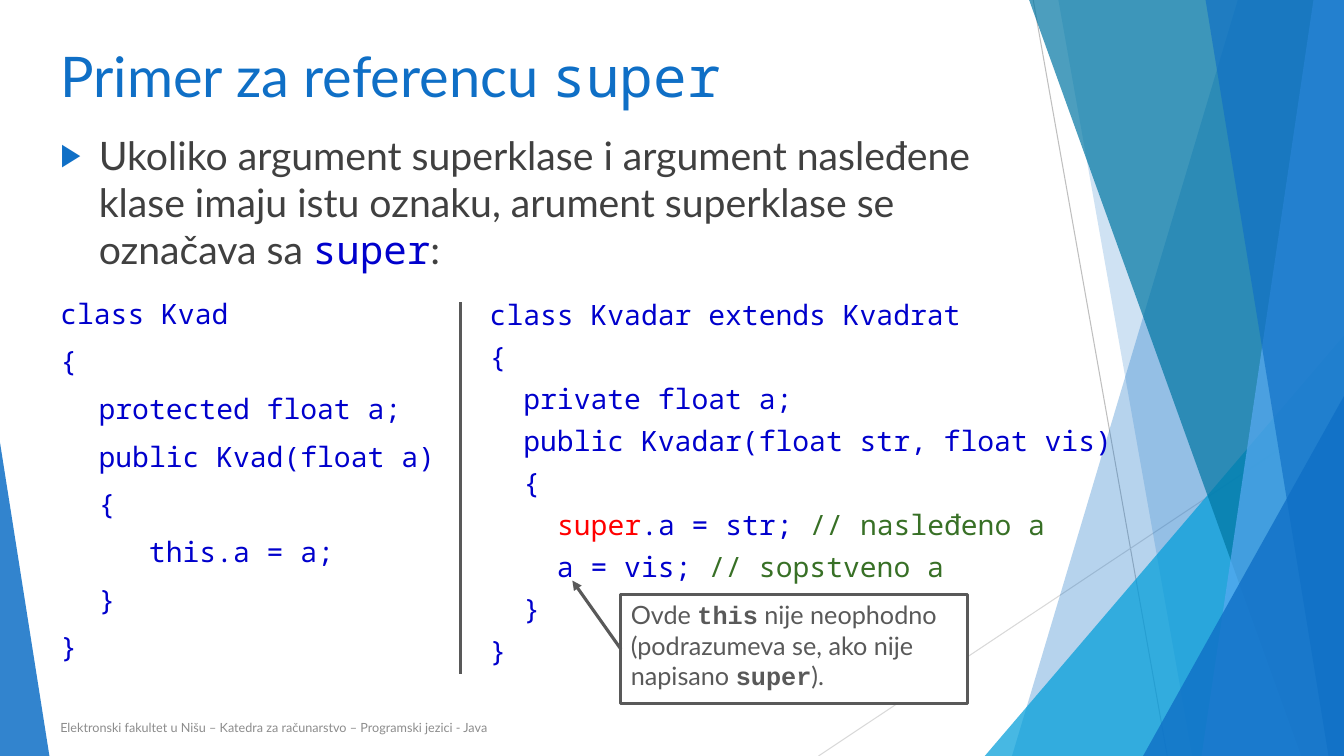
from lxml import etree
from pptx import Presentation
from pptx.dml.color import RGBColor
from pptx.enum.shapes import MSO_CONNECTOR, MSO_SHAPE
from pptx.enum.text import MSO_ANCHOR, MSO_AUTO_SIZE, PP_ALIGN
from pptx.oxml.ns import qn
from pptx.util import Inches, Pt

STRAIGHT = MSO_CONNECTOR.STRAIGHT
TRIANGLE = MSO_SHAPE.ISOSCELES_TRIANGLE
CALLOUT = MSO_SHAPE.LINE_CALLOUT_1
TOP, MIDDLE = MSO_ANCHOR.TOP, MSO_ANCHOR.MIDDLE
LEFT = PP_ALIGN.LEFT
NO_FIT = MSO_AUTO_SIZE.NONE

BLUE = RGBColor(0x0F, 0x6F, 0xC6)
SKY = RGBColor(0x59, 0xAA, 0xF2)
CYAN = RGBColor(0x00, 0x9D, 0xD9)
TEAL = RGBColor(0x00, 0x76, 0xA3)
CODE_BLUE = RGBColor(0x00, 0x00, 0xCC)
CODE_RED = RGBColor(0xFF, 0x00, 0x00)
CODE_GREEN = RGBColor(0x38, 0x70, 0x26)
INK = RGBColor(0x40, 0x40, 0x40)
GRAY = RGBColor(0x59, 0x59, 0x59)
FOOTER_GRAY = RGBColor(0x8C, 0x8C, 0x8C)
SILVER = RGBColor(0xBF, 0xBF, 0xBF)
PALE = RGBColor(0xD9, 0xD9, 0xD9)
WHITE = RGBColor(0xFF, 0xFF, 0xFF)

SANS, MONO, COURIER = "Lato", "Noto Sans Mono", "Courier New"

CELL = Inches(0.1)
COLUMNS, ROWS = 133.33, 75
MARGIN = 5
HANGING = 3.8

SHARDS = [
    ([(122.8, 0), (COLUMNS, 0), (COLUMNS, ROWS), (100.4, ROWS)], BLUE, 30),
    ([(105, 0), (COLUMNS, 0), (COLUMNS, ROWS), (118.3, ROWS)], BLUE, 20),
    ((97.7, 33.3, 35.63, 41.7, 1), CYAN, 72),
    ([(102.1, 0), (COLUMNS, 0), (COLUMNS, ROWS), (129.1, ROWS)], TEAL, 70),
    ([(130.3, 0), (COLUMNS, 0), (COLUMNS, ROWS), (119.2, ROWS)], SKY, 70),
    ([(119.6, 0), (COLUMNS, 0), (COLUMNS, ROWS), (131.8, ROWS)], BLUE, 65),
    ((113.4, 39.3, 19.93, 35.7, 1), BLUE, 80),
    ((0, 43.9, 4.9, 31.1, 0), BLUE, 85),
]

KVAD = [
    (0, "class Kvad"),
    (0, "{"),
    (HANGING, "protected float a;"),
    (HANGING, "public Kvad(float a)"),
    (HANGING, "{"),
    (8.8, "this.a = a;"),
    (HANGING, "}"),
    (0, "}"),
]

KVADAR = [
    [("class Kvadar extends Kvadrat", CODE_BLUE)],
    [("{", CODE_BLUE)],
    [("  private float a;", CODE_BLUE)],
    [("  public Kvadar(float str, float vis)", CODE_BLUE)],
    [("  {", CODE_BLUE)],
    [("    ", CODE_BLUE), ("super", CODE_RED), (".a = str; ", CODE_BLUE), ("// nasleđeno a", CODE_GREEN)],
    [("    a = vis; ", CODE_BLUE), ("// sopstveno a", CODE_GREEN)],
    [("  }", CODE_BLUE)],
    [("}", CODE_BLUE)],
]


def grid(*cells):
    """Turn counts of grid cells into lengths."""
    return [int(cell * CELL) for cell in cells]


def paint(shape, color, opacity):
    """Give a shape a translucent fill and no outline."""
    shape.shadow.inherit = False
    shape.line.fill.background()
    shape.fill.solid()
    shape.fill.fore_color.rgb = color
    tint = shape.fill._xPr.find(".//" + qn("a:srgbClr"))
    etree.SubElement(tint, qn("a:alpha"), val=str(opacity * 1000))


def add_shard(page, outline, color, opacity):
    """Draw a decorative triangle or a polygon given by its corners."""
    if isinstance(outline, list):
        corners = [grid(*corner) for corner in outline]
        builder = page.shapes.build_freeform(*corners[0], scale=1.0)
        builder.add_line_segments(corners[1:], close=True)
        shard = builder.convert_to_shape()
    else:
        *area, apex = outline
        shard = page.shapes.add_shape(TRIANGLE, *grid(*area))
        shard.adjustments[0] = apex
    paint(shard, color, opacity)


def add_line(page, ends, color, width):
    """Draw a straight line without a shadow."""
    line = page.shapes.add_connector(STRAIGHT, *grid(*ends))
    line.line.color.rgb = color
    line.line.width = Pt(width)
    etree.SubElement(line.element.spPr, qn("a:effectLst"))


def prepare(shape, anchor=TOP):
    """Set the wrapping and anchor of a shape's text and return its frame."""
    frame = shape.text_frame
    frame.word_wrap = True
    frame.auto_size = NO_FIT
    frame.vertical_anchor = anchor
    return frame


def add_text_box(page, area, anchor=TOP):
    """Add an empty wrapping text box and return its frame."""
    return prepare(page.shapes.add_textbox(*grid(*area)), anchor)


def write(para, spans, size):
    """Fill a paragraph with spans of text, font, color and weight."""
    para.alignment = LEFT
    para.line_spacing = Pt(size * 1.2)
    for text, font, color, bold in spans:
        span = para.add_run()
        span.text = text
        span.font.name = font
        span.font.size = Pt(size)
        span.font.color.rgb = color
        span.font.bold = bold


def write_lines(frame, lines, size, gap=0):
    """Write one paragraph per line, with a gap between them."""
    for index, spans in enumerate(lines):
        para = frame.add_paragraph() if index else frame.paragraphs[0]
        para.space_before = Pt(gap if index else 0)
        write(para, spans, size)


def indent(para, left, hanging=0):
    """Set the left and hanging indents of a paragraph."""
    margin, first = grid(left, -hanging)
    properties = para._p.get_or_add_pPr()
    properties.set("marL", str(margin))
    properties.set("indent", str(first))
    return properties


def add_bullet(para):
    """Mark a paragraph with a small blue arrow."""
    properties = indent(para, HANGING, HANGING)
    color = etree.SubElement(properties, qn("a:buClr"))
    etree.SubElement(color, qn("a:srgbClr"), val=str(BLUE))
    etree.SubElement(properties, qn("a:buSzPct"), val="80000")
    etree.SubElement(properties, qn("a:buFont"), typeface="Arial")
    etree.SubElement(properties, qn("a:buChar"), char="▶")


def place(placeholder, area):
    """Move a placeholder above the decoration and return its text frame."""
    placeholder.left, placeholder.top, placeholder.width, placeholder.height = grid(*area)
    placeholder.element.getparent().append(placeholder.element)
    return prepare(placeholder)


def add_callout(page, area, pointer, lines):
    """Add a bordered note whose leader ends in an arrowhead."""
    note = page.shapes.add_shape(CALLOUT, *grid(*area))
    note.shadow.inherit = False
    for index, share in enumerate(pointer):
        note.adjustments[index] = share
    note.fill.solid()
    note.fill.fore_color.rgb = WHITE
    note.line.color.rgb = GRAY
    note.line.width = Pt(2.25)
    etree.SubElement(note.line._get_or_add_ln(), qn("a:tailEnd"), type="triangle")
    write_lines(prepare(note), lines, 18)


def main():
    """Build the slide and save it."""
    deck = Presentation()
    deck.slide_width, deck.slide_height = grid(COLUMNS, ROWS)
    page = deck.slides.add_slide(deck.slide_layouts[1])

    add_line(page, (102.5, 0, 115.8, ROWS), SILVER, 0.75)
    add_line(page, (COLUMNS, 40.3, 81.2, ROWS), PALE, 0.75)
    for shard in SHARDS:
        add_shard(page, *shard)

    title = place(page.shapes.title, (MARGIN, 3.6, 96.4, 7.1))
    write_lines(title, [[("Primer za referencu ", SANS, BLUE, False), ("super", MONO, BLUE, False)]], 40)

    body = place(page.placeholders[1], (MARGIN, 12.5, 96.4, 16))
    rule = "Ukoliko argument superklase i argument nasleđene klase imaju istu oznaku, arument superklase se označava sa "
    add_bullet(body.paragraphs[0])
    write_lines(body, [[(rule, SANS, INK, False), ("super", MONO, CODE_BLUE, False), (":", SANS, INK, False)]], 28)

    footer = add_text_box(page, (MARGIN, 70.2, 71.3, 4), MIDDLE)
    credit = "Elektronski fakultet u Nišu – Katedra za računarstvo – Programski jezici - Java"
    write_lines(footer, [[(credit, SANS, FOOTER_GRAY, False)]], 9)

    kvad = add_text_box(page, (MARGIN, 28.9, 40.6, 43.8))
    write_lines(kvad, [[(text, MONO, CODE_BLUE, False)] for _, text in KVAD], 20, 10)
    for para, (left, _) in zip(kvad.paragraphs, KVAD):
        indent(para, left)

    kvadar = add_text_box(page, (47.6, 29, 67.1, 41.1))
    write_lines(kvadar, [[(text, MONO, color, False) for text, color in line] for line in KVADAR], 20, 6)

    add_line(page, (45.7, 30, 45.7, 66.9), GRAY, 2)
    add_callout(page, (61.6, 59, 34.4, 10.8), (0.5, 0, -0.13, -0.14), [
        [("Ovde ", SANS, GRAY, False), ("this", COURIER, GRAY, True),
         (" nije neophodno (podrazumeva se, ako nije", SANS, GRAY, False)],
        [("napisano ", SANS, GRAY, False), ("super", COURIER, GRAY, True), (").", SANS, GRAY, False)],
    ])
    deck.save("out.pptx")


if __name__ == "__main__":
    main()
